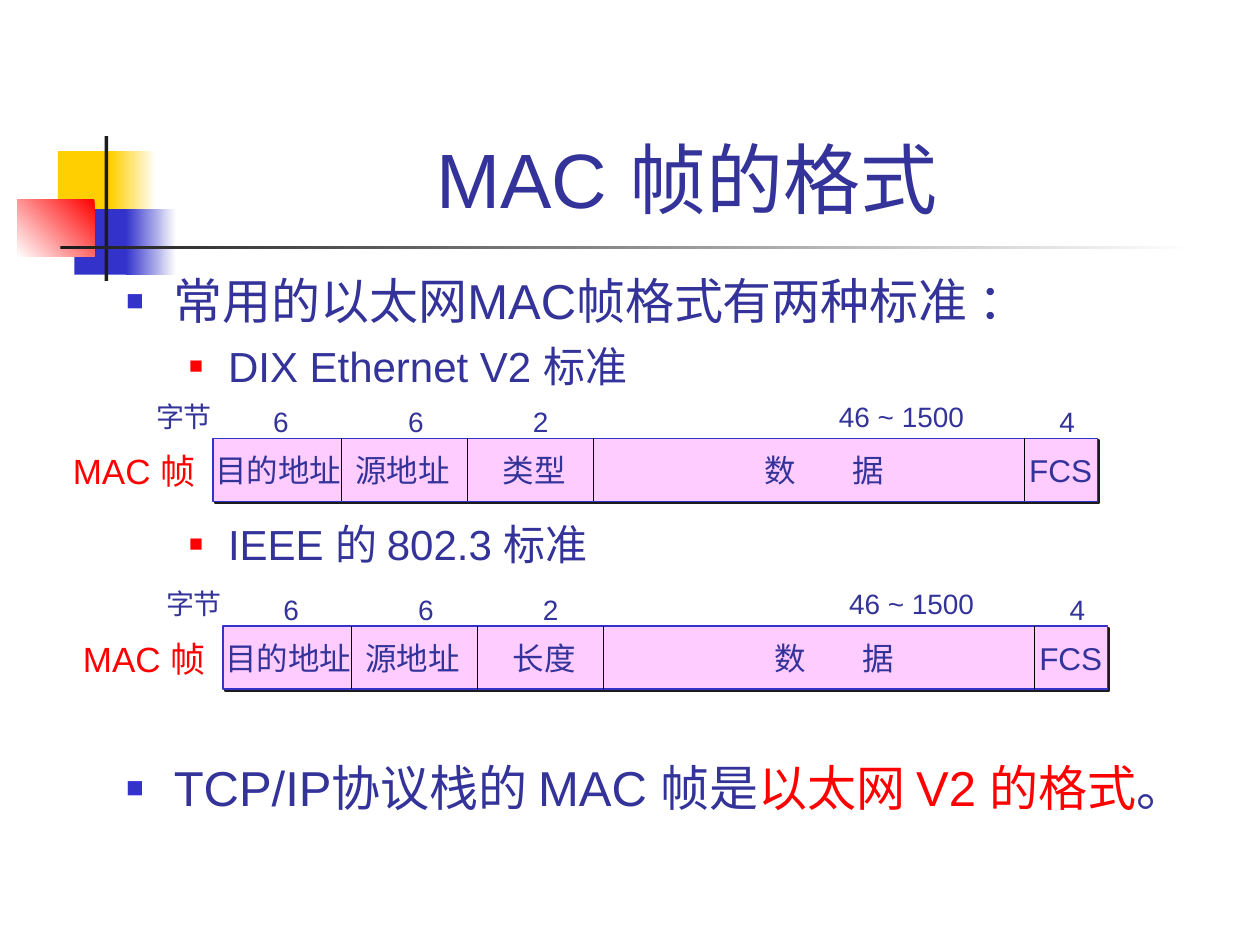
from lxml.etree import SubElement
from pptx import Presentation
from pptx.dml.color import RGBColor
from pptx.enum.shapes import MSO_CONNECTOR, MSO_SHAPE
from pptx.enum.text import MSO_ANCHOR, MSO_AUTO_SIZE, PP_ALIGN
from pptx.oxml.ns import qn
from pptx.util import Inches, Pt

INK = "333399"
BLUE = "3333CC"
RED = "FF0000"
YELLOW = "FFCF01"
WHITE = "FFFFFF"
BLACK = "1C1C1C"
PINK = "FFCCFF"


def color(value):
    return RGBColor.from_string(value)


def add_node(parent, tag, **attributes):
    return SubElement(parent, qn(tag), {name: str(value) for name, value in attributes.items()})


class SlideBuilder:
    font_name = "Arial"

    def __init__(self, slide):
        self.slide = slide

    def style(self, para, size, ink=INK):
        para.font.name = self.font_name
        para.font.size = Pt(size)
        para.font.color.rgb = color(ink)

    def place(self, shape, left, top, width, height):
        shape.left, shape.top = Inches(left), Inches(top)
        shape.width, shape.height = Inches(width), Inches(height)

    def rectangle(self, left, top, width, height, fill, fade_angle=None):
        shape = self.slide.shapes.add_shape(
            MSO_SHAPE.RECTANGLE, Inches(left), Inches(top), Inches(width), Inches(height))
        shape.shadow.inherit = False
        shape.line.fill.background()
        if fade_angle is None:
            shape.fill.solid()
            shape.fill.fore_color.rgb = color(fill)
        else:
            shape.fill.gradient()
            shape.fill.gradient_angle = fade_angle
            for stop, value in zip(shape.fill.gradient_stops, (fill, WHITE)):
                stop.color.rgb = color(value)
        return shape

    def outlined_rectangle(self, left, top, width, height):
        shape = self.rectangle(left, top, width, height, PINK)
        shape.line.color.rgb = color(BLUE)
        shape.line.width = Pt(1)
        effects = shape._element.spPr.find(qn("a:effectLst"))
        shadow = add_node(effects, "a:outerShdw", blurRad=0, dist=Pt(1.4), dir=45 * 60000)
        add_node(shadow, "a:srgbClr", val=BLACK)

    def divider(self, x, top, height):
        line = self.slide.shapes.add_connector(
            MSO_CONNECTOR.STRAIGHT, Inches(x), Inches(top), Inches(x), Inches(top + height))
        line.line.color.rgb = color("000000")
        line.line.width = Pt(1)
        add_node(line._element.spPr, "a:effectLst")

    def label(self, text, left, top, width, height, size, ink=INK, tab=None):
        box = self.slide.shapes.add_textbox(
            Inches(left), Inches(top), Inches(width), Inches(height))
        box.text_frame.word_wrap = False
        box.text_frame.auto_size = MSO_AUTO_SIZE.SHAPE_TO_FIT_TEXT
        para = box.text_frame.paragraphs[0]
        para.text = text
        if tab:
            stops = add_node(para._p.get_or_add_pPr(), "a:tabLst")
            add_node(stops, "a:tab", pos=Inches(tab), algn="l")
        self.style(para, size, ink)

    def title(self, text, *area):
        title = self.slide.shapes.title
        self.place(title, *area)
        frame = title.text_frame
        frame.text = text
        frame.vertical_anchor = MSO_ANCHOR.BOTTOM
        frame.auto_size = MSO_AUTO_SIZE.NONE
        para = frame.paragraphs[0]
        para.alignment = PP_ALIGN.CENTER
        self.style(para, 44)

    def body(self, items, *area):
        body = self.slide.placeholders[1]
        self.place(body, *area)
        frame = body.text_frame
        frame.auto_size = MSO_AUTO_SIZE.NONE
        for index, (level, space_before, spans) in enumerate(items):
            para = frame.paragraphs[0] if index == 0 else frame.add_paragraph()
            self.bullet(para, level, space_before)
            for text, ink in spans:
                span = para.add_run()
                span.text = text
                if ink != INK:
                    span.font.color.rgb = color(ink)

    def bullet(self, para, level, space_before):
        margin, hanging, bullet_ink, percent, size = (
            (0.38, 0.38, BLUE, 60, 28), (0.81, 0.31, RED, 55, 24))[level]
        para.level = level
        para.space_before = Pt(space_before)
        properties = para._p.get_or_add_pPr()
        properties.set("marL", str(Inches(margin)))
        properties.set("indent", str(-Inches(hanging)))
        add_node(add_node(properties, "a:buClr"), "a:srgbClr", val=bullet_ink)
        add_node(properties, "a:buSzPct", val=percent * 1000)
        add_node(properties, "a:buFont", typeface=self.font_name)
        add_node(properties, "a:buChar", char="■")
        self.style(para, size)

    def decoration(self):
        self.rectangle(0.46, 1.2, 0.48, 0.52, YELLOW)
        self.rectangle(0.88, 1.2, 0.36, 0.52, YELLOW, 0)
        self.rectangle(0.59, 1.66, 0.46, 0.52, BLUE)
        self.rectangle(1, 1.66, 0.4, 0.52, BLUE, 0)
        self.rectangle(0.14, 1.58, 0.61, 0.46, RED, 225)
        self.rectangle(0.83, 1.08, 0.03, 1.15, BLACK)
        self.rectangle(0.48, 1.95, 9, 0.03, BLACK, 0)

    def mac_frame(self, left, top, third_field):
        height = 0.5
        self.outlined_rectangle(left, top, 7.02, height)
        for offset in (1.02, 2.02, 3.02, 6.44):
            self.divider(left + offset, top, height)
        fields = (("目的地址", -0.08, 1.2, None), ("源地址", 1.03, 0.95, None),
                  (third_field, 2.2, 0.7, None), ("数\t据", 4.28, 1.15, 0.7),
                  ("FCS", 6.38, 0.7, None))
        for text, offset, width, tab in fields:
            self.label(text, left + offset, top + 0.05, width, 0.4, 18, tab=tab)
        for text, offset in (("6", 0.38), ("6", 1.45), ("2", 2.44), ("4", 6.62)):
            self.label(text, left + offset, top - 0.32, 0.32, 0.36, 16)
        for text, offset, width in (("字节", -0.55, 0.64), ("46 ~ 1500", 4.87, 1.19)):
            self.label(text, left + offset, top - 0.36, width, 0.36, 16)
        self.label("MAC 帧", left - 1.21, top + 0.04, 1.24, 0.43, 20, RED)


def main():
    deck = Presentation()
    deck.slide_width, deck.slide_height = Inches(10), Inches(7.5)
    page = SlideBuilder(deck.slides.add_slide(deck.slide_layouts[1]))
    page.decoration()
    page.title("MAC 帧的格式 ", 1.26, 0.23, 8.52, 1.6)
    page.body((
        (0, 7, (("常用的以太网MAC帧格式有两种标准 ：", INK),)),
        (1, 6, (("DIX Ethernet V2 标准", INK),)),
        (1, 73, (("IEEE 的 802.3 标准", INK),)),
        (0, 108, (("TCP/IP协议栈的 MAC 帧是", INK), ("以太网 V2 的格式", RED), ("。", INK))),
    ), 0.9, 2.1, 8.9, 4.72)
    page.mac_frame(1.69, 3.48, "类型")
    page.mac_frame(1.77, 4.97, "长度")
    deck.save("out.pptx")


if __name__ == "__main__":
    main()
